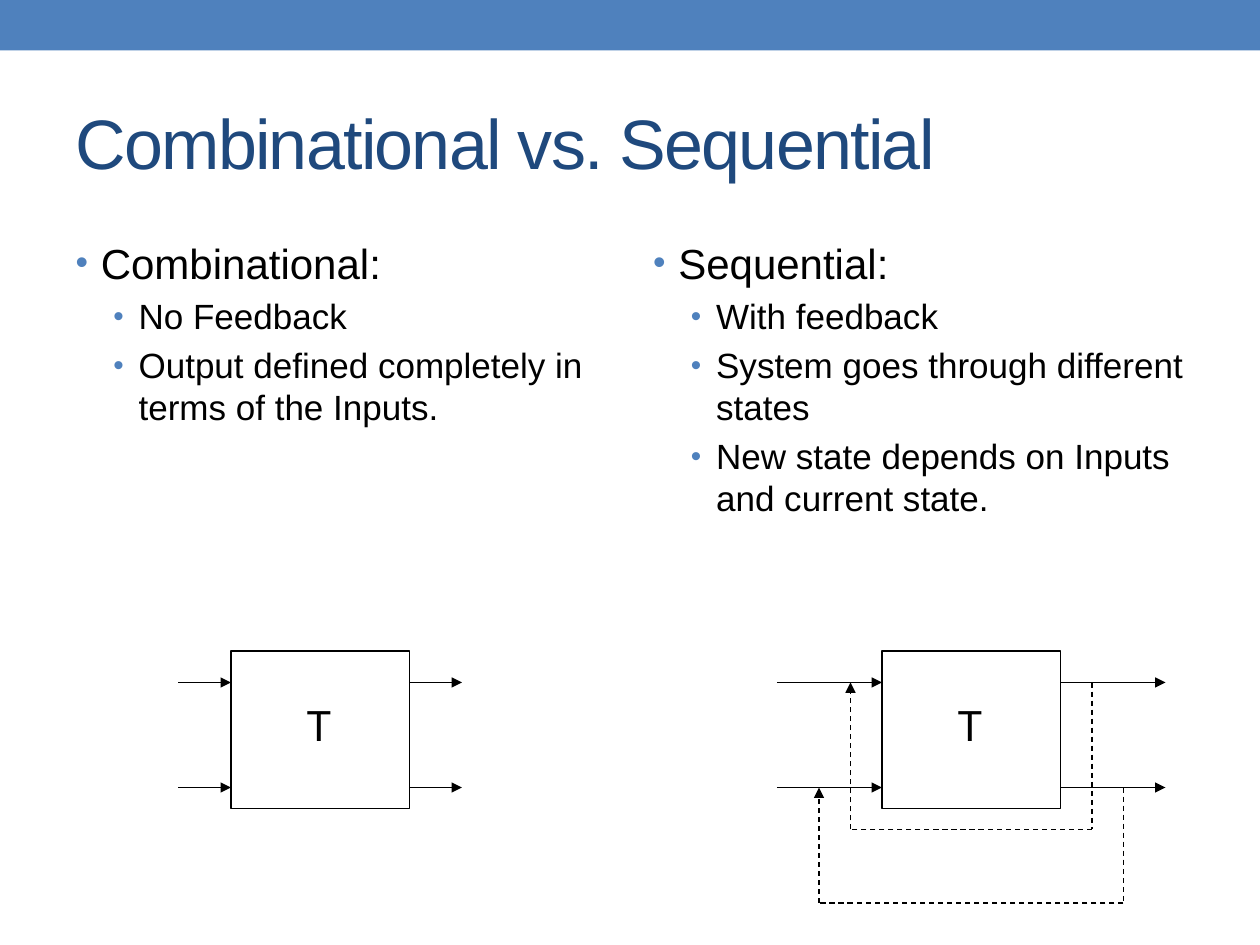
"""Build a slide comparing combinational and sequential systems."""
from lxml import etree
from pptx import Presentation
from pptx.dml.color import RGBColor
from pptx.enum.dml import MSO_LINE
from pptx.enum.shapes import MSO_CONNECTOR, MSO_SHAPE
from pptx.enum.text import MSO_ANCHOR, MSO_AUTO_SIZE, PP_ALIGN
from pptx.oxml.ns import qn
from pptx.util import Pt

BLUE = RGBColor(0x4F, 0x81, 0xBD)
NAVY = RGBColor(0x1F, 0x49, 0x7D)
BLACK = RGBColor(0, 0, 0)
RECTANGLE = MSO_SHAPE.RECTANGLE
STRAIGHT = MSO_CONNECTOR.STRAIGHT
DASH = MSO_LINE.DASH
LEFT = PP_ALIGN.LEFT
MIDDLE = MSO_ANCHOR.MIDDLE
TOP = MSO_ANCHOR.TOP
NO_AUTOFIT = MSO_AUTO_SIZE.NONE

SLIDE_SIZE = (720, 540)
BAND_HEIGHT = 28.8
TITLE = "Combinational vs. Sequential"
TITLE_BOX = (36, 42, 648, 78)
COLUMNS = [
    (36, [(0, "Combinational:"),
          (1, "No Feedback"),
          (1, "Output defined completely in terms of the Inputs.")]),
    (366, [(0, "Sequential:"),
           (1, "With feedback"),
           (1, "System goes through different states"),
           (1, "New state depends on Inputs and current state.")]),
]
COLUMN_TOP, COLUMN_WIDTH, COLUMN_HEIGHT = 132, 318, 371.5
LEVELS = [{"size": 24, "indent": 14.4}, {"size": 20, "indent": 36}]
HANGING = 14.4

BLOCK_LABEL = "T"
BLOCK_TOP, BLOCK_WIDTH, BLOCK_HEIGHT = 372, 102, 90
SIGNAL_ROWS = (390, 450)
DIAGRAMS = [
    {"left": 132, "reach": 30, "feedback": []},
    {"left": 504, "reach": 60, "feedback": [(390, 18, 474), (450, 36, 516)]},
]


def points(*values):
    return [Pt(value) for value in values]


def set_font(font, **values):
    color = values.pop("color")
    for name, value in values.items():
        setattr(font, name, value)
    font.color.rgb = color


def place(shape, *box):
    for name, value in zip(("left", "top", "width", "height"), points(*box)):
        setattr(shape, name, value)


def add_bullet(paragraph, indent):
    properties = paragraph._p.get_or_add_pPr()
    properties.set("marL", str(Pt(indent)))
    properties.set("indent", str(-Pt(HANGING)))
    color = etree.SubElement(properties, qn("a:buClr"))
    etree.SubElement(color, qn("a:srgbClr"), val=str(BLUE))
    etree.SubElement(properties, qn("a:buSzPct"), val="85000")
    etree.SubElement(properties, qn("a:buFont"), typeface="Arial")
    etree.SubElement(properties, qn("a:buChar"), char="•")


def fill_title(title):
    place(title, *TITLE_BOX)
    frame = title.text_frame
    frame.text = TITLE
    frame.vertical_anchor = MIDDLE
    frame.auto_size = NO_AUTOFIT
    paragraph = frame.paragraphs[0]
    paragraph.alignment = LEFT
    run = paragraph.runs[0]
    set_font(run.font, name="Arial", size=Pt(40), color=NAVY)
    run.font._element.set("spc", "-100")


def fill_column(body, left, items):
    place(body, left, COLUMN_TOP, COLUMN_WIDTH, COLUMN_HEIGHT)
    frame = body.text_frame
    frame.text = "\n".join(text for level, text in items)
    frame.vertical_anchor = TOP
    frame.auto_size = NO_AUTOFIT
    for index, (paragraph, (level, text)) in enumerate(zip(frame.paragraphs, items)):
        style = LEVELS[level]
        paragraph.level = level
        add_bullet(paragraph, style["indent"])
        paragraph.space_before = Pt(style["size"] * 0.2 if index else 0)
        set_font(paragraph.runs[0].font, name="Arial", size=Pt(style["size"]), color=BLACK)


def add_line(shapes, start, end, arrow=False, dashed=False):
    connector = shapes.add_connector(STRAIGHT, *points(*start, *end))
    connector.line.color.rgb = BLACK
    connector.line.width = Pt(0.75)
    if dashed:
        connector.line.dash_style = DASH
    if arrow:
        etree.SubElement(connector.line._get_or_add_ln(), qn("a:tailEnd"), type="triangle")
    etree.SubElement(connector._element.spPr, qn("a:effectLst"))


def add_diagram(slide, left, reach, feedback):
    shapes = slide.shapes.add_group_shape().shapes
    right = left + BLOCK_WIDTH
    block = shapes.add_shape(RECTANGLE, *points(left, BLOCK_TOP, BLOCK_WIDTH, BLOCK_HEIGHT))
    block.shadow.inherit = False
    block.fill.background()
    block.line.color.rgb = BLACK
    block.line.width = Pt(0.75)

    label = shapes.add_textbox(*points(left + 36, BLOCK_TOP + 24, 24, 36))
    label.text_frame.word_wrap = True
    label.text_frame.text = BLOCK_LABEL
    run = label.text_frame.paragraphs[0].runs[0]
    set_font(run.font, name="Roboto", size=Pt(24), color=BLACK)

    for start in (left - reach, right):
        for row in SIGNAL_ROWS:
            add_line(shapes, (start, row), (start + reach, row), arrow=True)
    for row, gap, bottom in feedback:
        corners = [(right + gap, row), (right + gap, bottom),
                   (left - gap, bottom), (left - gap, row)]
        for index in range(3):
            add_line(shapes, corners[index], corners[index + 1], arrow=index == 2, dashed=True)


def main():
    presentation = Presentation()
    presentation.slide_width, presentation.slide_height = points(*SLIDE_SIZE)
    slide = presentation.slides.add_slide(presentation.slide_layouts[3])

    band = slide.shapes.add_shape(RECTANGLE, *points(0, 0, SLIDE_SIZE[0], BAND_HEIGHT))
    band.shadow.inherit = False
    band.fill.solid()
    band.fill.fore_color.rgb = BLUE
    band.line.fill.background()

    title, *bodies = slide.placeholders
    fill_title(title)
    for body, (left, items) in zip(bodies, COLUMNS):
        fill_column(body, left, items)
    for diagram in DIAGRAMS:
        add_diagram(slide, **diagram)
    presentation.save("out.pptx")


if __name__ == "__main__":
    main()
